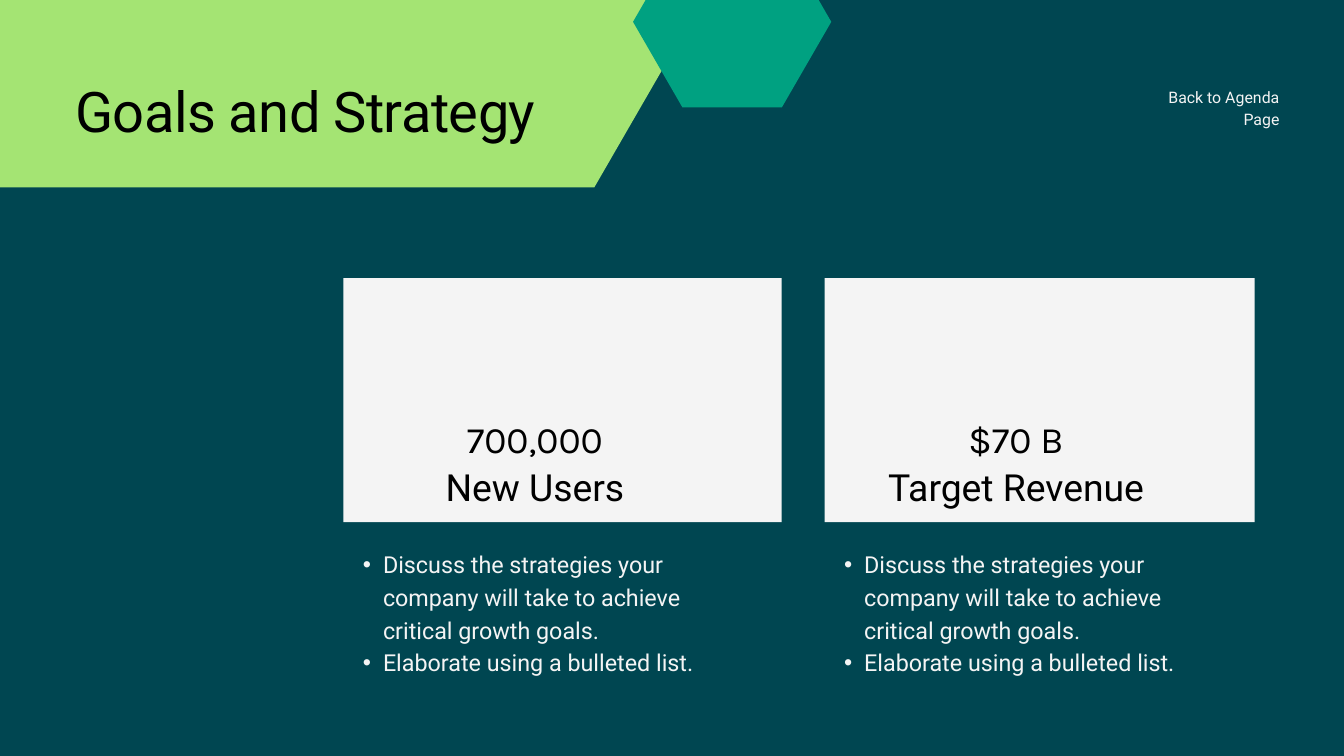
from lxml.etree import SubElement
from pptx import Presentation
from pptx.dml.color import RGBColor
from pptx.enum.shapes import MSO_SHAPE
from pptx.enum.text import MSO_ANCHOR, MSO_AUTO_SIZE, PP_ALIGN
from pptx.oxml.ns import qn
from pptx.util import Inches, Pt

TEAL = RGBColor(0x00, 0x46, 0x51)
LIME = RGBColor(0xA4, 0xE4, 0x73)
GREEN = RGBColor(0x00, 0xA1, 0x81)
PALE = RGBColor(0xF4, 0xF4, 0xF4)
BLACK = RGBColor(0, 0, 0)

TITLE = "Goals and Strategy"
AGENDA_LABEL = "Back to Agenda Page"
STRATEGIES = [
    "Discuss the strategies your company will take to achieve critical growth goals.",
    "Elaborate using a bulleted list.",
]
# left, card width, figure, caption
GOALS = [
    (5.11, 6.52, "700,000", "New Users"),
    (12.27, 6.4, "$70 B", "Target Revenue"),
]
HEXAGONS = [
    ((-3.19, -4.02, 14, 6.81), LIME),
    ((9.42, -0.95, 2.95, 2.55), GREEN),
]
REGULAR_HEXAGON = 0.2887  # corner inset over height, for 60 degree sides
CARD_TOP, CARD_HEIGHT = 4.14, 3.63
COLUMN_WIDTH = 5.7


def add_filled_shape(slide, kind, box, color):
    shape = slide.shapes.add_shape(kind, *map(Inches, box))
    shape.shadow.inherit = False
    shape.fill.solid()
    shape.fill.fore_color.rgb = color
    shape.line.fill.background()
    return shape


def format_frame(frame, margin=0, anchor=MSO_ANCHOR.TOP, auto_size=MSO_AUTO_SIZE.SHAPE_TO_FIT_TEXT):
    frame.word_wrap = True
    frame.auto_size = auto_size
    frame.vertical_anchor = anchor
    frame.margin_left = frame.margin_right = Inches(margin)
    frame.margin_top = frame.margin_bottom = Inches(margin)


def add_bullet(paragraph):
    paragraph.level = 1
    properties = paragraph._p.get_or_add_pPr()
    properties.set("marL", str(Inches(0.59)))
    properties.set("indent", str(Inches(-0.3)))
    SubElement(properties, qn("a:buFont")).set("typeface", "Arial")
    SubElement(properties, qn("a:buChar")).set("char", "•")


def write_lines(frame, lines, size, color, spacing, align=PP_ALIGN.LEFT, bulleted=False):
    """Write (text, font name) pairs, one paragraph each."""
    for index, (text, font_name) in enumerate(lines):
        paragraph = frame.add_paragraph() if index else frame.paragraphs[0]
        if bulleted:
            add_bullet(paragraph)
        paragraph.alignment = align
        paragraph.line_spacing = Pt(spacing)
        run = paragraph.add_run()
        run.text = text
        run.font.name = font_name
        run.font.size = Pt(size)
        run.font.color.rgb = color


def add_text_frame(slide, box, **options):
    frame = slide.shapes.add_textbox(*map(Inches, box)).text_frame
    format_frame(frame, **options)
    return frame


def add_title(slide):
    title = slide.shapes.title
    title.left, title.top, title.width, title.height = map(Inches, (1.12, 1.05, 7.25, 1.07))
    format_frame(title.text_frame)
    write_lines(title.text_frame, [(TITLE, "Roboto")], 60, BLACK, 78)
    run = title.text_frame.paragraphs[0].runs[0]
    run._r.get_or_add_rPr().set("spc", "-60")
    # Bring the title in front of the banner
    title._element.getparent().append(title._element)


def add_goal(slide, left, card_width, figure, caption):
    add_filled_shape(slide, MSO_SHAPE.RECTANGLE, (left, CARD_TOP, card_width, CARD_HEIGHT), PALE)
    heading = add_text_frame(slide, (left, 3.87, COLUMN_WIDTH, 5.97), margin=0.28,
                             anchor=MSO_ANCHOR.MIDDLE, auto_size=MSO_AUTO_SIZE.NONE)
    write_lines(heading, [(figure, "Karla"), (caption, "Roboto")], 40, BLACK, 52, PP_ALIGN.CENTER)
    details = add_text_frame(slide, (left, 8.12, COLUMN_WIDTH, 1.9))
    write_lines(details, [(text, "Roboto") for text in STRATEGIES], 25, PALE, 35, bulleted=True)


def main():
    presentation = Presentation()
    presentation.slide_width = Inches(20)
    presentation.slide_height = Inches(11.25)
    slide = presentation.slides.add_slide(presentation.slide_layouts[5])
    slide.background.fill.solid()
    slide.background.fill.fore_color.rgb = TEAL

    for box, color in HEXAGONS:
        hexagon = add_filled_shape(slide, MSO_SHAPE.HEXAGON, box, color)
        hexagon.adjustments[0] = REGULAR_HEXAGON
    add_title(slide)
    for goal in GOALS:
        add_goal(slide, *goal)
    agenda = add_text_frame(slide, (16.81, 1.25, 2.23, 0.32))
    write_lines(agenda, [(AGENDA_LABEL, "Roboto")], 17, PALE, 23.8, PP_ALIGN.RIGHT)

    presentation.save("out.pptx")


if __name__ == "__main__":
    main()
